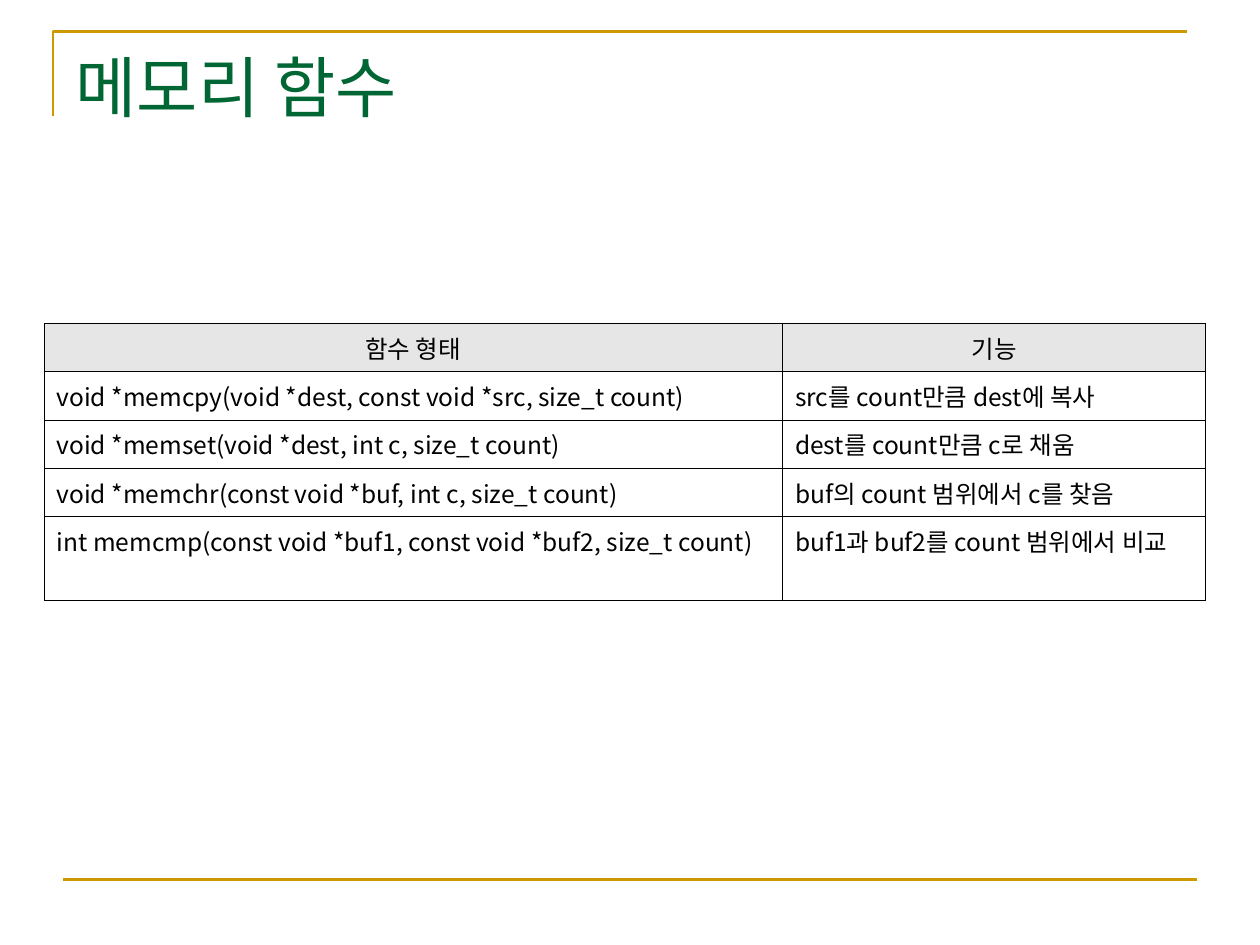
from dataclasses import dataclass

from lxml.etree import SubElement
from pptx import Presentation
from pptx.dml.color import RGBColor
from pptx.enum.shapes import MSO_CONNECTOR
from pptx.enum.text import MSO_ANCHOR, MSO_AUTO_SIZE, PP_ALIGN
from pptx.oxml.ns import qn
from pptx.util import Inches, Pt


@dataclass(frozen=True)
class Theme:
    font: str = "Noto Sans CJK KR"
    title_size: float = 38
    table_size: float = 14
    rule_width: float = 1.5
    border_width: float = 0.45
    title: str = "006633"
    rule: str = "CC9900"
    text: str = "000000"
    header: str = "E6E6E6"


THEME = Theme()
WIDTH = Inches(10)
HEIGHT = Inches(7.5)
HEADINGS = ("함수 형태", "기능")
FUNCTIONS = (
    ("void *memcpy(void *dest, const void *src, size_t count)", "src를 count만큼 dest에 복사"),
    ("void *memset(void *dest, int c, size_t count)", "dest를 count만큼 c로 채움"),
    ("void *memchr(const void *buf, int c, size_t count)", "buf의 count 범위에서 c를 찾음"),
    ("int memcmp(const void *buf1, const void *buf2, size_t count)", "buf1과 buf2를 count 범위에서 비교"),
)


def across(share):
    return round(WIDTH * share / 100)


def down(share):
    return round(HEIGHT * share / 100)


def format_text(paragraph, size, color, alignment):
    paragraph.alignment = alignment
    for run in paragraph.runs:
        run.font.size = Pt(size)
        run.font.name = THEME.font
        run.font.color.rgb = RGBColor.from_string(color)
        properties = run.font._element
        SubElement(properties, qn("a:ea"), typeface=THEME.font)


def format_rule(shape):
    shape.line.color.rgb = RGBColor.from_string(THEME.rule)
    shape.line.width = Pt(THEME.rule_width)


def add_corner(slide):
    left, top = across(4.2), down(3.33)
    builder = slide.shapes.build_freeform(left, down(12.27))
    builder.add_line_segments([(left, top), (across(94.2), top)], close=False)
    corner = builder.convert_to_shape()
    corner.fill.background()
    corner.shadow.inherit = False
    format_rule(corner)


def add_footer_rule(slide):
    top = down(93.07)
    rule = slide.shapes.add_connector(MSO_CONNECTOR.STRAIGHT, across(5), top, across(95), top)
    format_rule(rule)
    SubElement(rule._element.spPr, qn("a:effectLst"))


def set_title(slide, text):
    title = slide.shapes.title
    title.left, title.top = across(5), down(4)
    title.width, title.height = across(93), down(10.27)
    frame = title.text_frame
    frame.text = text
    frame.auto_size = MSO_AUTO_SIZE.NONE
    frame.vertical_anchor = MSO_ANCHOR.MIDDLE
    format_text(frame.paragraphs[0], THEME.title_size, THEME.title, PP_ALIGN.LEFT)


def add_borders(cell):
    properties = cell._tc.get_or_add_tcPr()
    for side in ("L", "R", "T", "B"):
        border = SubElement(properties, qn(f"a:ln{side}"), w=str(Pt(THEME.border_width)))
        fill = SubElement(border, qn("a:solidFill"))
        SubElement(fill, qn("a:srgbClr"), val=THEME.text)


def format_cell(cell, text, is_header):
    cell.text = text
    add_borders(cell)
    if is_header:
        cell.fill.solid()
        cell.fill.fore_color.rgb = RGBColor.from_string(THEME.header)
    else:
        cell.fill.background()
    alignment = PP_ALIGN.CENTER if is_header else PP_ALIGN.LEFT
    format_text(cell.text_frame.paragraphs[0], THEME.table_size, THEME.text, alignment)


def add_function_table(slide):
    rows = (HEADINGS, *FUNCTIONS)
    widths = [across(58.6), across(33.6)]
    heights = [down(4.67)] * (len(rows) - 1) + [down(7.6)]
    table = slide.shapes.add_table(
        len(rows), len(widths), across(3.5), down(34.2), sum(widths), sum(heights)
    ).table
    table.horz_banding = False
    for column, width in zip(table.columns, widths):
        column.width = width
    for row_index, (row, height) in enumerate(zip(rows, heights)):
        table.rows[row_index].height = height
        for column_index, text in enumerate(row):
            format_cell(table.cell(row_index, column_index), text, row_index == 0)


def main():
    presentation = Presentation()
    presentation.slide_width, presentation.slide_height = WIDTH, HEIGHT
    slide = presentation.slides.add_slide(presentation.slide_layouts[5])
    add_corner(slide)
    add_footer_rule(slide)
    set_title(slide, "메모리 함수")
    add_function_table(slide)
    presentation.save("out.pptx")


if __name__ == "__main__":
    main()
